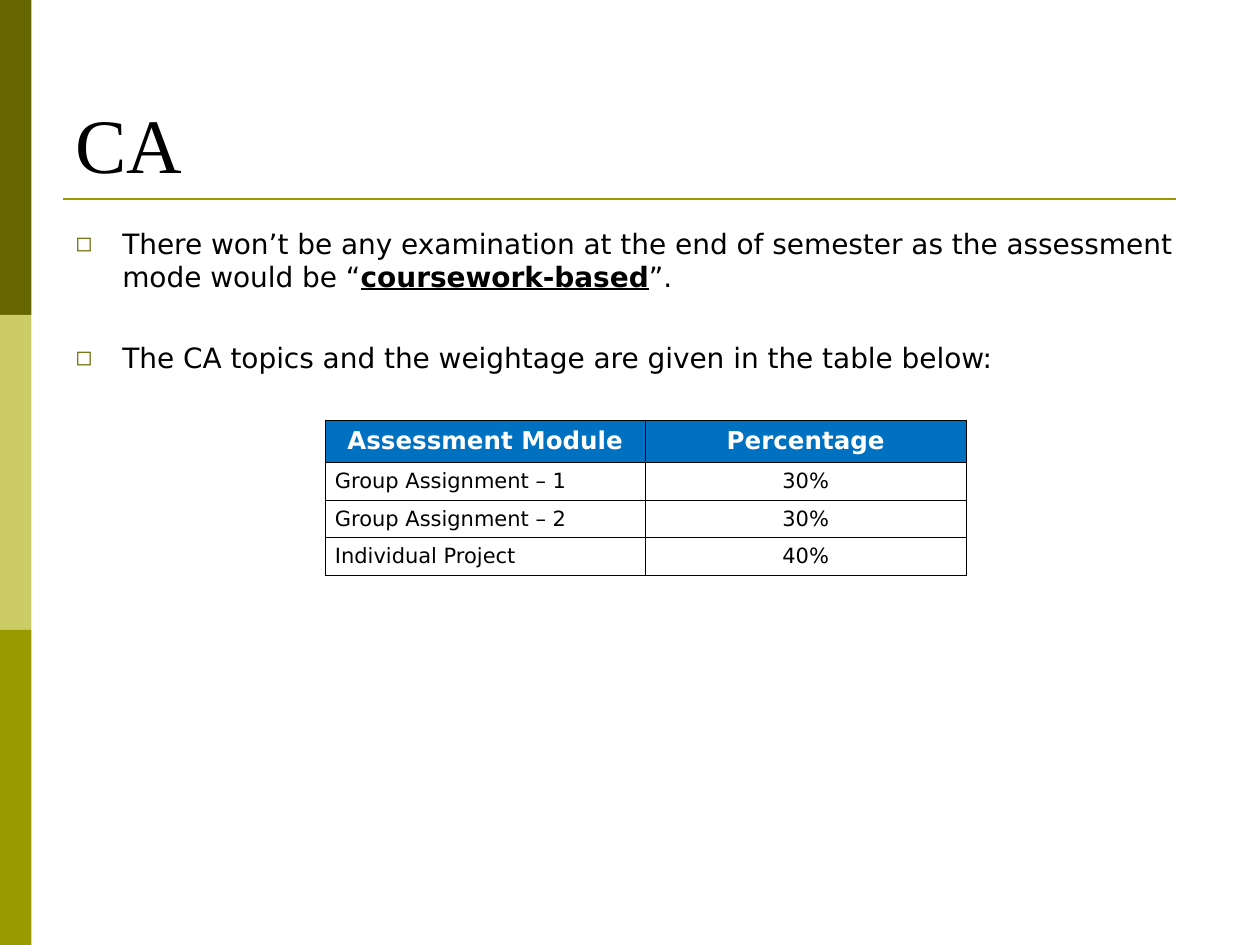
from lxml import etree
from pptx import Presentation
from pptx import util as u
from pptx.dml.color import RGBColor
from pptx.enum import shapes, text
from pptx.oxml import ns

COLORS = {"olive_dark": "666600", "olive_light": "CCCC66", "olive": "999900",
          "header": "0070C0", "black": "000000", "white": "FFFFFF"}
BODY_FONT, TITLE_FONT = "DejaVu Sans", "Times New Roman"
SLIDE_W, SLIDE_H = 1260, 945

TITLE = "CA"
BANDS = ["olive_dark", "olive_light", "olive"]
# Each bullet: space before in points, then (text, emphasised) runs
BULLETS = [
    (4, [("There won’t be any examination at the end of semester as the "
          "assessment mode would be “", False),
         ("coursework-based", True), ("”.", False)]),
    (27, [("The CA topics and the weightage are given in the table below:", False)]),
]
ASSESSMENTS = [
    ("Assessment Module", "Percentage"),
    ("Group Assignment – 1", "30%"),
    ("Group Assignment – 2", "30%"),
    ("Individual Project", "40%"),
]


def px(n):
    return u.Emu(round(n * 914400 / 126))


def rgb(name):
    return RGBColor.from_string(COLORS[name])


def add_run(p, content, size, font=BODY_FONT, color="black", **fmt):
    r = p.add_run()
    r.text = content
    r.font.color.rgb = rgb(color)
    for key, value in {"size": u.Pt(size), "name": font, **fmt}.items():
        setattr(r.font, key, value)


def add_text_frame(s, box, anchor):
    tf = s.shapes.add_textbox(*map(px, box)).text_frame
    tf.word_wrap = True
    tf.vertical_anchor = anchor
    return tf


def set_bullet(p, indent=47):
    pPr = p._p.get_or_add_pPr()
    pPr.set("marL", str(px(indent)))
    pPr.set("indent", str(-px(indent)))
    color = etree.SubElement(pPr, ns.qn("a:buClr"))
    etree.SubElement(color, ns.qn("a:srgbClr"), val=COLORS["olive_dark"])
    etree.SubElement(pPr, ns.qn("a:buSzPct"), val="75000")
    etree.SubElement(pPr, ns.qn("a:buFont"), typeface=BODY_FONT)
    etree.SubElement(pPr, ns.qn("a:buChar"), char="◻")


def set_borders(cell, width=0.45):
    tcPr = cell._tc.get_or_add_tcPr()
    for i, side in enumerate(("lnL", "lnR", "lnT", "lnB")):
        ln = etree.Element(ns.qn("a:" + side), w=str(u.Pt(width)))
        fill = etree.SubElement(ln, ns.qn("a:solidFill"))
        etree.SubElement(fill, ns.qn("a:srgbClr"), val=COLORS["black"])
        tcPr.insert(i, ln)


def add_side_bands(s):
    h = SLIDE_H // len(BANDS)
    for i, color in enumerate(BANDS):
        sp = s.shapes.add_shape(shapes.MSO_SHAPE.RECTANGLE,
                                *map(px, (0, i * h, 31.5, h)))
        sp.shadow.inherit = False
        sp.fill.solid()
        sp.fill.fore_color.rgb = rgb(color)
        sp.line.fill.background()


def add_title(s):
    rule = s.shapes.add_connector(shapes.MSO_CONNECTOR.STRAIGHT,
                                  *map(px, (63, 199, 1176, 199)))
    rule.line.color.rgb = rgb("olive")
    rule.line.width = u.Pt(1.5)
    etree.SubElement(rule._element.spPr, ns.qn("a:effectLst"))
    tf = add_text_frame(s, (63, 38, 1134, 157), text.MSO_ANCHOR.BOTTOM)
    add_run(tf.paragraphs[0], TITLE, 44, TITLE_FONT)


def add_bullets(s):
    tf = add_text_frame(s, (63, 220, 1134, 683), text.MSO_ANCHOR.TOP)
    for i, (space, runs) in enumerate(BULLETS):
        p = tf.add_paragraph() if i else tf.paragraphs[0]
        p.space_before = u.Pt(space)
        set_bullet(p)
        for content, strong in runs:
            add_run(p, content, 16, bold=strong, underline=strong)


def add_assessment_table(s):
    rows, cols = len(ASSESSMENTS), len(ASSESSMENTS[0])
    table = s.shapes.add_table(rows, cols, *map(px, (325, 420, 641, 34 * rows))).table
    for i, row in enumerate(ASSESSMENTS):
        header = i == 0
        for j, content in enumerate(row):
            cell = table.cell(i, j)
            cell.margin_left = cell.margin_right = px(10)
            cell.vertical_anchor = text.MSO_ANCHOR.MIDDLE
            if header:
                cell.fill.solid()
                cell.fill.fore_color.rgb = rgb("header")
            else:
                cell.fill.background()
            set_borders(cell)
            p = cell.text_frame.paragraphs[0]
            centred = header or j > 0
            p.alignment = text.PP_ALIGN.CENTER if centred else text.PP_ALIGN.LEFT
            add_run(p, content, 14 if header else 12,
                    color="white" if header else "black", bold=header)


def main():
    prs = Presentation()
    prs.slide_width, prs.slide_height = px(SLIDE_W), px(SLIDE_H)
    s = prs.slides.add_slide(prs.slide_layouts[6])
    add_side_bands(s)
    add_title(s)
    add_bullets(s)
    add_assessment_table(s)
    prs.save("out.pptx")


if __name__ == "__main__":
    main()
